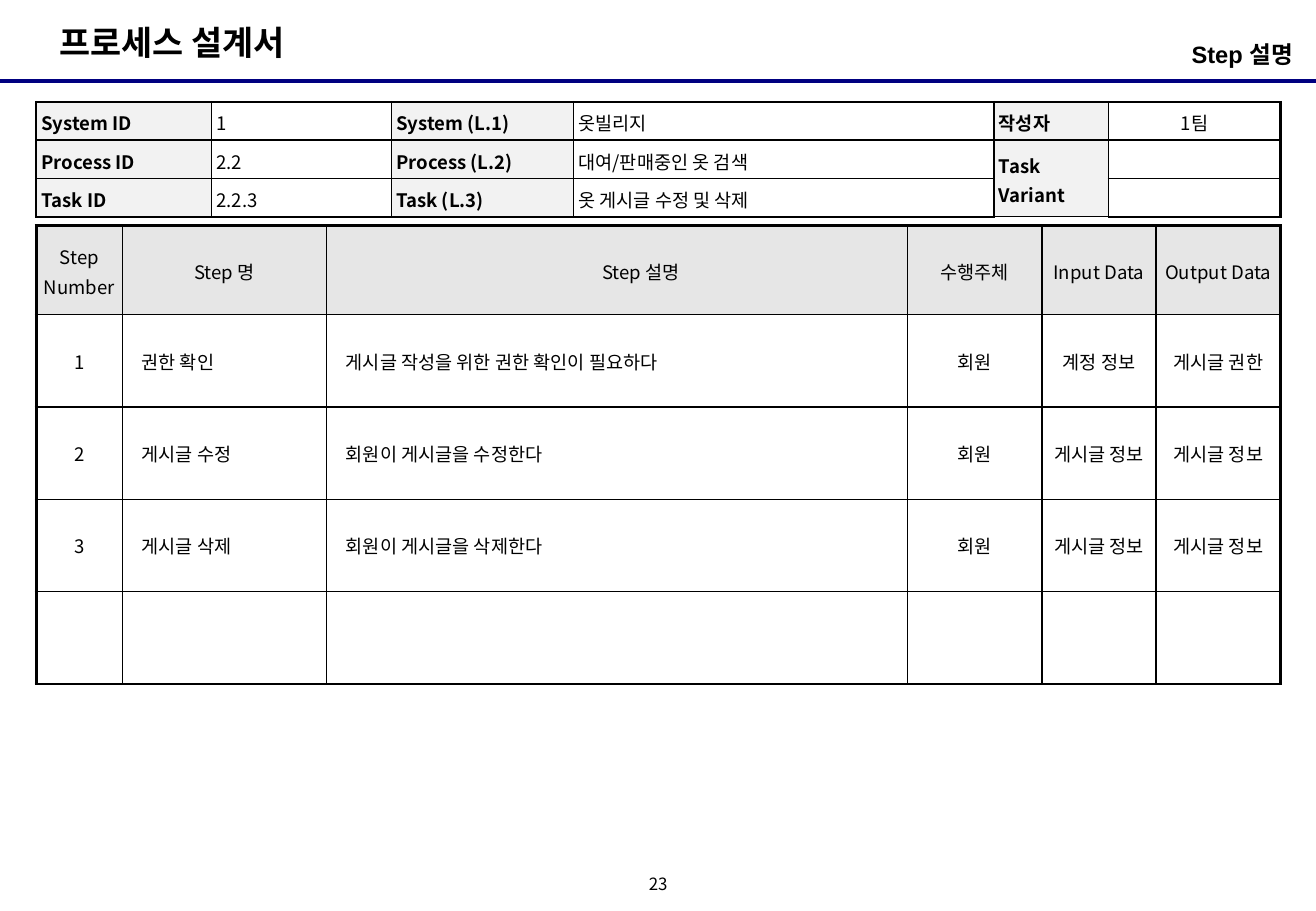
import lxml.etree
import pptx
import pptx.dml.color
import pptx.enum.shapes
import pptx.enum.text
import pptx.oxml.ns
import pptx.util

Cm = pptx.util.Cm
Pt = pptx.util.Pt
ALIGN = pptx.enum.text.PP_ALIGN
ANCHOR = pptx.enum.text.MSO_ANCHOR
qn = pptx.oxml.ns.qn

BLACK = pptx.dml.color.RGBColor(0x00, 0x00, 0x00)
WHITE = pptx.dml.color.RGBColor(0xFF, 0xFF, 0xFF)
NAVY = pptx.dml.color.RGBColor(0x00, 0x00, 0x80)
LABEL_GRAY = pptx.dml.color.RGBColor(0xF2, 0xF2, 0xF2)
HEADER_GRAY = pptx.dml.color.RGBColor(0xE6, 0xE6, 0xE6)
KOREAN_FONT = "Noto Sans CJK KR"


def add_run(paragraph, text, size, bold=False, font=KOREAN_FONT):
    run = paragraph.add_run()
    run.text = text
    run.font.size = Pt(size)
    run.font.bold = bold
    run.font.name = font
    run.font.color.rgb = BLACK
    east_asian = lxml.etree.SubElement(run.font._element, qn("a:ea"))
    east_asian.set("typeface", KOREAN_FONT)


def fill_cell(cell, text, bold, fill, borders, margins, align, anchor, spacing, indent=0):
    cell.margin_left = cell.margin_right = margins[0]
    cell.margin_top = cell.margin_bottom = margins[1]
    cell.vertical_anchor = anchor
    properties = cell._tc.get_or_add_tcPr()
    for side, width in zip("LRTB", borders):
        line = lxml.etree.SubElement(properties, qn(f"a:ln{side}"), w=str(Pt(width)))
        solid = lxml.etree.SubElement(line, qn("a:solidFill"))
        lxml.etree.SubElement(solid, qn("a:srgbClr"), val=str(BLACK))
    cell.fill.solid()
    cell.fill.fore_color.rgb = fill
    paragraph = cell.text_frame.paragraphs[0]
    paragraph.alignment = align
    paragraph.line_spacing = spacing
    if indent:
        paragraph._p.get_or_add_pPr().set("marL", str(Cm(indent)))
    if text:
        add_run(paragraph, text, 11, bold)
    else:
        lxml.etree.SubElement(paragraph._p, qn("a:endParaRPr"), sz="1100")


presentation = pptx.Presentation()
presentation.slide_width = Cm(27.51)
presentation.slide_height = Cm(19.05)
slide = presentation.slides.add_slide(presentation.slide_layouts[6])

rule = slide.shapes.add_connector(
    pptx.enum.shapes.MSO_CONNECTOR.STRAIGHT, Cm(0), Cm(1.7), Cm(27.51), Cm(1.7)
)
rule.line.color.rgb = NAVY
rule.line.width = Pt(2.25)
lxml.etree.SubElement(rule._element.spPr, qn("a:effectLst"))

title = slide.shapes.add_textbox(Cm(0.99), Cm(0.33), Cm(5.74), Cm(1.12))
add_run(title.text_frame.paragraphs[0], "프로세스 설계서", 20, True)

page_number = slide.shapes.add_textbox(Cm(13.34), Cm(18.21), Cm(0.84), Cm(0.64))
frame = page_number.text_frame
frame.margin_left = frame.margin_right = frame.margin_top = frame.margin_bottom = 0
frame.vertical_anchor = ANCHOR.MIDDLE
frame.paragraphs[0].alignment = ALIGN.CENTER
frame.paragraphs[0].line_spacing = 0.8
add_run(frame.paragraphs[0], "23", 10)

information = [
    ["System ID", "1", "System (L.1)", "옷빌리지", "작성자", "1팀"],
    ["Process ID", "2.2", "Process (L.2)", "대여/판매중인 옷 검색", "Task Variant", ""],
    ["Task ID", "2.2.3", "Task (L.3)", "옷 게시글 수정 및 삭제", "", ""],
]
steps = [
    ["Step Number", "Step 명", "Step 설명", "수행주체", "Input Data", "Output Data"],
    ["1", "권한 확인", "게시글 작성을 위한 권한 확인이 필요하다", "회원", "계정 정보", "게시글 권한"],
    ["2", "게시글 수정", "회원이 게시글을 수정한다", "회원", "게시글 정보", "게시글 정보"],
    ["3", "게시글 삭제", "회원이 게시글을 삭제한다", "회원", "게시글 정보", "게시글 정보"],
    ["", "", "", "", "", ""],
]
information_widths = [3.66, 3.76, 3.81, 8.79, 2.39, 3.6]
step_widths = [1.8, 4.27, 12.14, 2.81, 2.39, 2.6]

tables = []
for rows, widths, heights, top in [
    (information, information_widths, [0.8] * 3, 2.13),
    (steps, step_widths, [1.86] + [1.93] * 4, 4.72),
]:
    table = slide.shapes.add_table(
        len(rows), len(widths), Cm(0.76), Cm(top), Cm(sum(widths)), Cm(sum(heights))
    ).table
    table.first_row = False
    table.horz_banding = False
    for column, width in zip(table.columns, widths):
        column.width = Cm(width)
    for row, height in zip(table.rows, heights):
        row.height = Cm(height)
    tables.append(table)

information_table, step_table = tables
information_table.cell(1, 4).merge(information_table.cell(2, 4))

for row, texts in enumerate(information):
    for column, text in enumerate(texts):
        is_label = column % 2 == 0
        on_right = column >= 4
        borders = [
            1.5 if column == 0 else 1,
            1.5 if column == 5 else 1,
            1.5 if row == 0 or (row == 1 and on_right) else 1,
            1.5 if row == 2 or (row == 0 and on_right) else 1,
        ]
        fill_cell(
            information_table.cell(row, column), text, is_label,
            LABEL_GRAY if is_label else WHITE, borders, (Cm(0.1), Cm(0.1)),
            ALIGN.CENTER if column == 5 else ALIGN.LEFT,
            ANCHOR.MIDDLE if on_right else ANCHOR.TOP, 1.1,
        )

for row, texts in enumerate(steps):
    for column, text in enumerate(texts):
        is_header = row == 0
        is_description = not is_header and column in (1, 2)
        borders = [
            2.25 if column == 0 else 1,
            2.25 if column == 5 else 1,
            2.25 if is_header else 1,
            1,
        ]
        indent = 0.25 if is_description else 0
        if is_header and column == 2:
            indent = 1
        fill_cell(
            step_table.cell(row, column), text, False,
            HEADER_GRAY if is_header else WHITE, borders, (Cm(0.15), Cm(0.1)),
            ALIGN.LEFT if is_description else ALIGN.CENTER,
            ANCHOR.MIDDLE, 1.1 if is_header else 1, indent,
        )

section = slide.shapes.add_textbox(Cm(18.77), Cm(0.71), Cm(8.41), Cm(0.99))
frame = section.text_frame
frame.word_wrap = True
frame.margin_left = 0
frame.margin_right = Cm(0.15)
frame.margin_top = Cm(0.13)
frame.paragraphs[0].alignment = ALIGN.RIGHT
add_run(frame.paragraphs[0], "Step 설명", 14, True, "Arial")

presentation.save("out.pptx")
